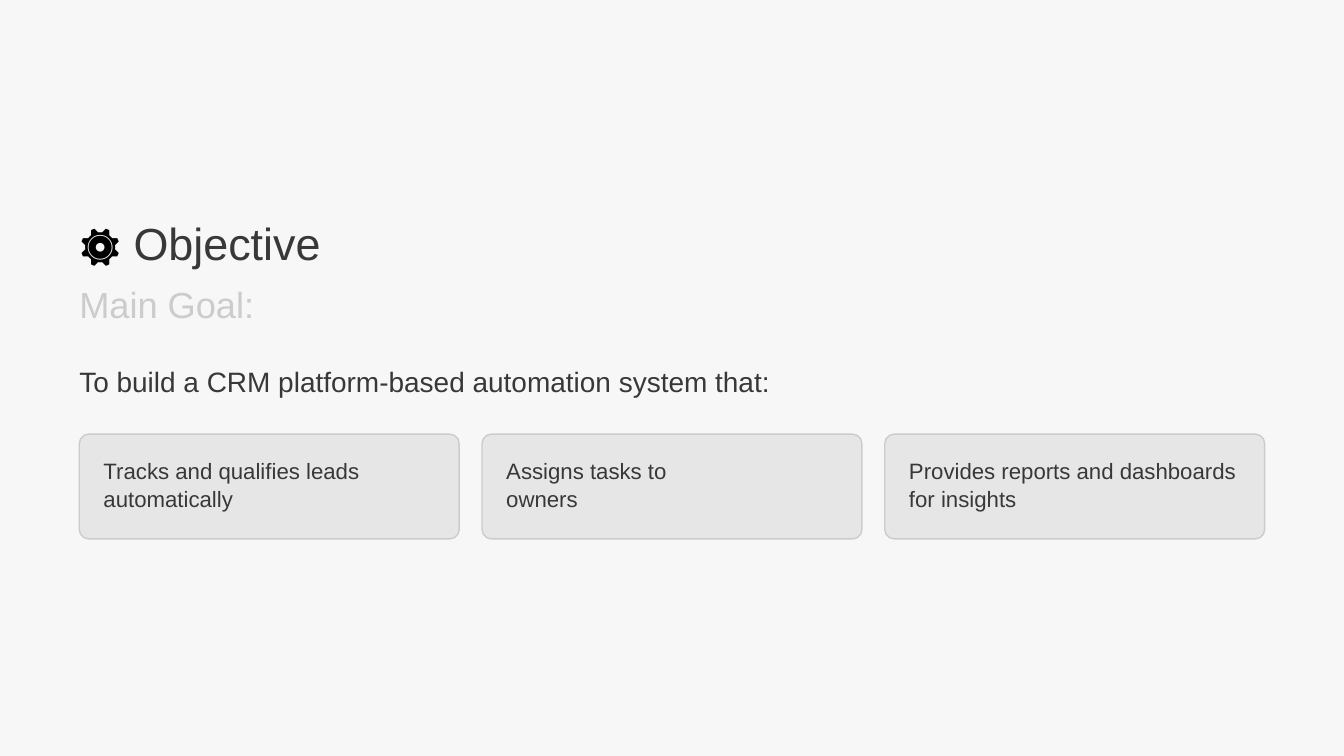
"""Build the objective slide: three heading lines above a row of three goal cards."""
from dataclasses import dataclass

from pptx import Presentation
from pptx.dml.color import RGBColor
from pptx.enum.shapes import MSO_SHAPE
from pptx.util import Inches, Pt

ROUNDED = MSO_SHAPE.ROUNDED_RECTANGLE
COLORS = {
    "background": "F7F7F7",
    "icon": "000000",
    "ink": "383838",
    "muted": "CCCCCC",
    "card": "E6E6E6",
}
FONT = "Arial"
WIDTH, HEIGHT = 20, 11.25
MARGIN, GAP, INSET = 1.18, 0.34, 0.36
COLUMN_COUNT = 3
COLUMN = (WIDTH - 2 * MARGIN - (COLUMN_COUNT - 1) * GAP) / COLUMN_COUNT
ROW = HEIGHT / 100
CARD_TOP, CARD_ROWS, CARD_TEXT_TOP = 57.42, 13.87, 60.36
CORNER = 0.09
FRAME_FORMAT = {
    "margin_left": 0,
    "margin_top": 0,
    "margin_right": 0,
    "margin_bottom": 0,
    "word_wrap": True,
}


@dataclass(frozen=True)
class Run:
    text: str
    color: str = "ink"


@dataclass(frozen=True)
class TextLine:
    runs: tuple[Run, ...]
    top: float
    rows: float
    columns: float
    size: float
    spacing: float
    left: float = MARGIN


@dataclass(frozen=True)
class Card:
    text: str
    text_columns: float


HEADINGS = (
    TextLine((Run("⚙️", "icon"), Run(" Objective")), 28.14, 8.18, 1.2, 48.1, 60.6),
    TextLine((Run("Main Goal:", "muted"),), 37.11, 6.4, 0.96, 38.8, 48.1),
    TextLine(
        (Run("To build a CRM platform-based automation system that:"),),
        46.76, 7.29, 3.12, 30, 48.1,
    ),
)
CARDS = (
    Card("Tracks and qualifies leads automatically", 0.86),
    Card("Assigns tasks to owners", 0.6),
    Card("Provides reports and dashboards for insights", 0.87),
)


def color(name: str) -> RGBColor:
    return RGBColor.from_string(COLORS[name])


def draw_text(slide, line: TextLine) -> None:
    box = slide.shapes.add_textbox(
        Inches(line.left),
        Inches(line.top * ROW),
        Inches(line.columns * COLUMN),
        Inches(line.rows * ROW),
    )
    for name, value in FRAME_FORMAT.items():
        setattr(box.text_frame, name, value)
    paragraph = box.text_frame.paragraphs[0]
    paragraph.line_spacing = Pt(line.spacing)
    for item in line.runs:
        run = paragraph.add_run()
        run.text = item.text
        for name, value in {"name": FONT, "size": Pt(line.size)}.items():
            setattr(run.font, name, value)
        run.font.color.rgb = color(item.color)


def draw_card(slide, card: Card, index: int) -> None:
    left = MARGIN + index * (COLUMN + GAP)
    shape = slide.shapes.add_shape(
        ROUNDED,
        Inches(left),
        Inches(CARD_TOP * ROW),
        Inches(COLUMN),
        Inches(CARD_ROWS * ROW),
    )
    shape.adjustments[0] = CORNER
    shape.shadow.inherit = False
    shape.fill.solid()
    shape.fill.fore_color.rgb = color("card")
    shape.line.color.rgb = color("muted")
    shape.line.width = Pt(1.5)
    draw_text(
        slide,
        TextLine(
            (Run(card.text),), CARD_TEXT_TOP, 7.82, card.text_columns,
            23.8, 30, left + INSET,
        ),
    )


def main() -> None:
    presentation = Presentation()
    presentation.slide_width = Inches(WIDTH)
    presentation.slide_height = Inches(HEIGHT)
    slide = presentation.slides.add_slide(presentation.slide_layouts[6])
    slide.background.fill.solid()
    slide.background.fill.fore_color.rgb = color("background")
    for heading in HEADINGS:
        draw_text(slide, heading)
    for index, card in enumerate(CARDS):
        draw_card(slide, card, index)
    presentation.save("out.pptx")


if __name__ == "__main__":
    main()
